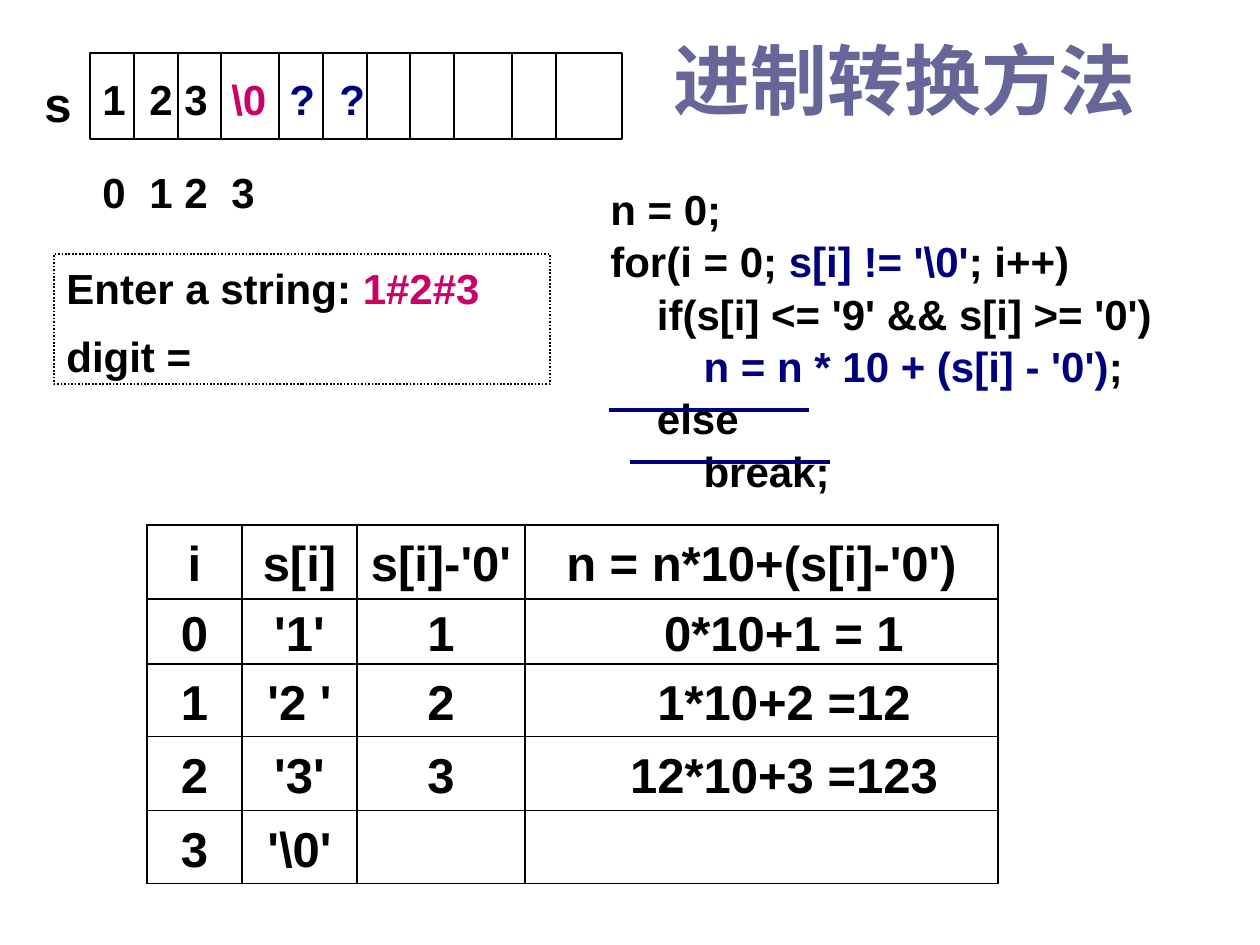
from itertools import accumulate

from lxml import etree
from pptx import Presentation
from pptx.dml.color import RGBColor
from pptx.enum.dml import MSO_LINE
from pptx.enum.shapes import MSO_CONNECTOR, MSO_SHAPE
from pptx.enum.text import MSO_ANCHOR, PP_ALIGN
from pptx.oxml.ns import qn
from pptx.util import Pt

RECTANGLE = MSO_SHAPE.RECTANGLE
STRAIGHT = MSO_CONNECTOR.STRAIGHT
DOTTED = MSO_LINE.ROUND_DOT
MIDDLE, TOP = MSO_ANCHOR.MIDDLE, MSO_ANCHOR.TOP
LEFT, CENTER = PP_ALIGN.LEFT, PP_ALIGN.CENTER

BLACK = RGBColor(0x00, 0x00, 0x00)
NAVY = RGBColor(0x00, 0x00, 0x7D)
PINK = RGBColor(0xCC, 0x00, 0x66)
SLATE = RGBColor(0x66, 0x66, 0x99)

PX_PER_INCH = 126
EMU_PER_PX = 914400 / PX_PER_INCH


def px(length):
    return round(length * EMU_PER_PX)


class SlideBuilder:
    font = "Arial"

    def __init__(self, slide):
        self.slide = slide

    def style_runs(self, paragraph, size, colors, font=None):
        for run, color in zip(paragraph.runs, colors):
            run.font.name = font or self.font
            run.font.size = Pt(size)
            run.font.bold = True
            run.font.color.rgb = color

    def fill_text(self, frame, lines, size, font=None, anchor=TOP,
                  gap=0, spacing=None, indent=0, tabs=()):
        """Write lines, each a list of (text, color) pieces."""
        frame.word_wrap = True
        frame.vertical_anchor = anchor
        for number, pieces in enumerate(lines):
            paragraph = frame.add_paragraph() if number else frame.paragraphs[0]
            for text, _ in pieces:
                paragraph.add_run().text = text
            properties = paragraph._p.get_or_add_pPr()
            if indent:
                properties.set("marL", str(px(indent)))
            if tabs:
                tab_list = etree.SubElement(properties, qn("a:tabLst"))
                for position in tabs:
                    etree.SubElement(tab_list, qn("a:tab"),
                                     pos=str(px(position)), algn="l")
            paragraph.alignment = LEFT
            if spacing:
                paragraph.line_spacing = spacing
            if gap and number:
                paragraph.space_before = Pt(gap)
            self.style_runs(paragraph, size, [color for _, color in pieces], font)

    def text(self, left, top, width, height, lines, size, **options):
        box = self.slide.shapes.add_textbox(
            px(left), px(top), px(width), px(height))
        self.fill_text(box.text_frame, lines, size, **options)

    def frame(self, left, top, width, height, dash=None):
        shape = self.slide.shapes.add_shape(
            RECTANGLE, px(left), px(top), px(width), px(height))
        shape.shadow.inherit = False
        shape.fill.background()
        shape.line.color.rgb = BLACK
        shape.line.width = Pt(1)
        if dash:
            shape.line.dash_style = dash
        return shape

    def line(self, x1, y1, x2, y2, color=BLACK, width=1):
        connector = self.slide.shapes.add_connector(
            STRAIGHT, px(x1), px(y1), px(x2), px(y2))
        connector.line.color.rgb = color
        connector.line.width = Pt(width)
        etree.SubElement(connector._element.spPr, qn("a:effectLst"))

    def border(self, cell):
        properties = cell._tc.get_or_add_tcPr()
        for index, side in enumerate(("lnL", "lnR", "lnT", "lnB")):
            edge = etree.Element(qn(f"a:{side}"), w=str(Pt(1)))
            fill = etree.SubElement(edge, qn("a:solidFill"))
            etree.SubElement(fill, qn("a:srgbClr"), val=str(BLACK))
            properties.insert(index, edge)

    def table(self, left, top, widths, heights, rows, size):
        table = self.slide.shapes.add_table(
            len(heights), len(widths), px(left), px(top),
            px(sum(widths)), px(sum(heights))).table
        table.first_row = False
        table.horz_banding = False
        for column, width in zip(table.columns, widths):
            column.width = px(width)
        for row, height, texts in zip(table.rows, heights, rows):
            row.height = px(height)
            for cell, text in zip(row.cells, texts):
                cell.fill.background()
                self.border(cell)
                cell.margin_left = cell.margin_right = cell.margin_bottom = 0
                cell.margin_top = px(6)
                cell.vertical_anchor = MIDDLE
                paragraph = cell.text_frame.paragraphs[0]
                paragraph.text = text
                paragraph.alignment = CENTER
                paragraph.font.size = Pt(size)
                self.style_runs(paragraph, size, [BLACK])
        return table


def main():
    presentation = Presentation()
    presentation.slide_width = px(1260)
    presentation.slide_height = px(945)
    slide = presentation.slides.add_slide(presentation.slide_layouts[6])
    builder = SlideBuilder(slide)

    # Title
    builder.text(661, 32, 567, 94, [[("进制转换方法", SLATE)]], 44,
                 font="Times New Roman", anchor=MIDDLE)

    # Conversion code
    code = [
        [("n = 0;", BLACK)],
        [("for(i = 0; ", BLACK), ("s[i] != '\\0'", NAVY), ("; i++)", BLACK)],
        [("    if(s[i] <= '9' && s[i] >= '0')", BLACK)],
        [("        ", BLACK), ("n = n * 10 + (s[i] - '0')", NAVY), (";", BLACK)],
        [("    else", BLACK)],
        [("        break;", BLACK)],
    ]
    builder.text(535, 183, 670, 336, code, 24, gap=4, spacing=0.9, indent=63)

    # Character array with its indices
    array_left, array_top, array_height = 90, 53, 86
    cell_widths = [44, 44, 43, 58, 44, 44, 43, 44, 58, 44, 66]
    builder.frame(array_left, array_top, sum(cell_widths), array_height)
    for offset in accumulate(cell_widths[:-1]):
        x = array_left + offset
        builder.line(x, array_top, x, array_top + array_height)
    tabs = [47, 82, 129, 187, 237]
    builder.text(32, 67, 50, 71, [[("s", BLACK)]], 28)
    builder.text(array_left, 67, 582, 63,
                 [[("1\t2\t3\t", BLACK), ("\\0\t", PINK), ("?\t?", NAVY)]],
                 24, tabs=tabs)
    builder.text(array_left, 160, 466, 63, [[("0\t1\t2\t3", BLACK)]], 24, tabs=tabs)

    # Console output
    console = builder.frame(54, 254, 496, 130, DOTTED)
    builder.fill_text(console.text_frame,
                      [[("Enter a string: ", BLACK), ("1#2#3", PINK)],
                       [("digit =", BLACK)]],
                      24, gap=10)
    console.text_frame.margin_top = px(9)

    # Trace table
    trace = [
        ["i", "s[i]", "s[i]-'0'", "n = n*10+(s[i]-'0')"],
        ["0", "'1'", "1", "0*10+1 = 1"],
        ["1", "'2 '", "2", "1*10+2 =12"],
        ["2", "'3'", "3", "12*10+3 =123"],
        ["3", "'\\0'", "", ""],
    ]
    table = builder.table(147, 525, [95, 115, 168, 473], [74, 63, 73, 74, 73],
                          trace, 28)
    for row in range(1, 4):
        table.cell(row, 3).margin_left = px(45)

    # Strokes through the else branch
    for x, y in ((609, 410), (630, 462)):
        builder.line(x, y, x + 200, y, NAVY, 2)

    presentation.save("out.pptx")


if __name__ == "__main__":
    main()
